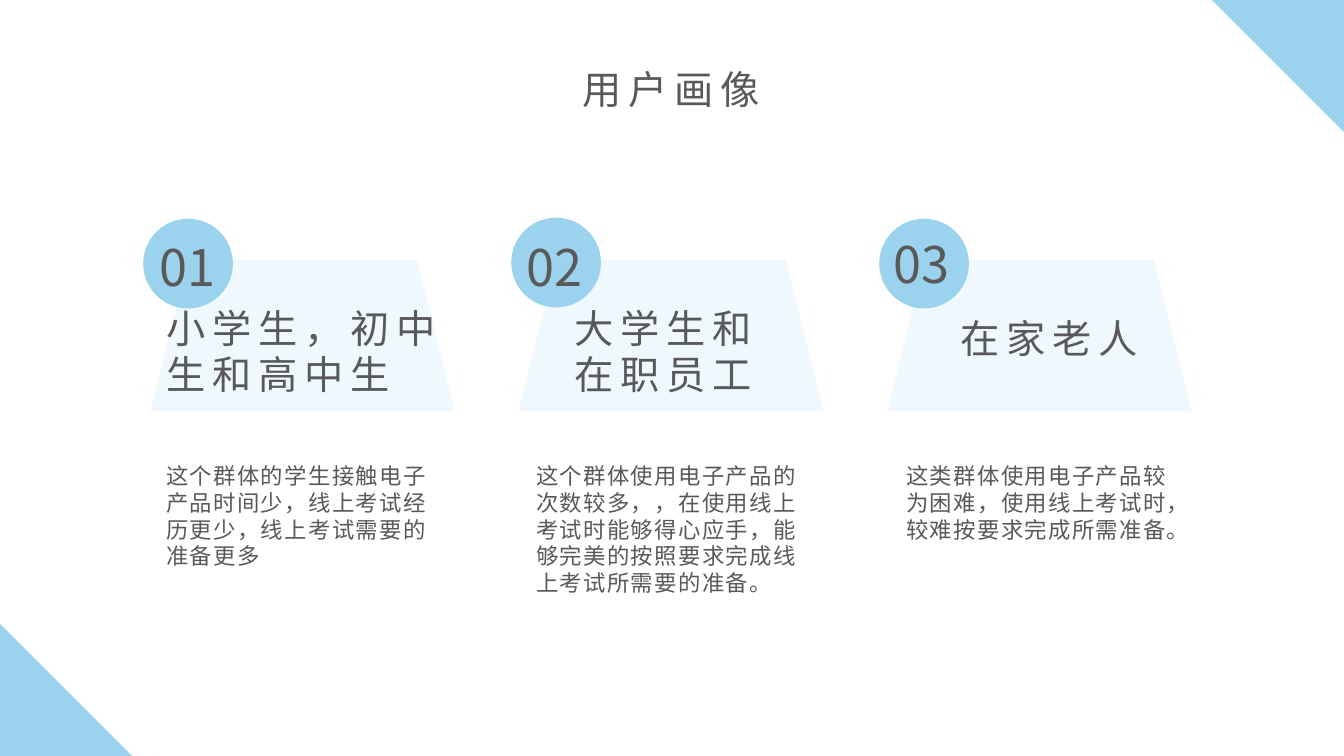
import pptx
import pptx.util
import pptx.dml.color
import pptx.enum.shapes
import pptx.enum.text

TITLE = "用户画像"
GROUPS = [
    {"num": "01", "name": "小学生，初中生和高中生",
     "note": "这个群体的学生接触电子产品时间少，线上考试经历更少，线上考试需要的准备更多",
     "name_box": (1.55, 2.97, 3, 1.04), "num_top": 2.3, "dot_top": 2.17, "note_tall": 1.18},
    {"num": "02", "name": "大学生和在职员工",
     "note": "这个群体使用电子产品的次数较多，，在使用线上考试时能够得心应手，能够完美的按照要求完成线上考试所需要的准备。",
     "name_box": (5.6, 2.97, 2.14, 1.04), "num_top": 2.3, "dot_top": 2.16, "note_tall": 1.45},
    {"num": "03", "name": "在家老人",
     "note": "这类群体使用电子产品较为困难，使用线上考试时，较难按要求完成所需准备。",
     "name_box": (9.43, 3.07, 2.05, 0.57), "num_top": 2.27, "dot_top": 2.17, "note_tall": 0.91},
]
THEME = {
    "font": "Noto Sans CJK SC", "ink": "595959", "blue": "9BD3EF", "pale": "EEF8FD",
    "head": 28, "num": 36, "note": 16, "lead": 1.19,
}
WIDE, TALL, CORNER = 13.33, 7.5, 1.31

Inches, Pt = pptx.util.Inches, pptx.util.Pt
KIND = pptx.enum.shapes.MSO_SHAPE
FIT = pptx.enum.text.MSO_AUTO_SIZE.SHAPE_TO_FIT_TEXT


def tint(name):
    return pptx.dml.color.RGBColor.from_string(THEME[name])


def add_form(slide, kind, box, fill):
    form = slide.shapes.add_shape(kind, *map(Inches, box))
    form.shadow.inherit = False
    form.fill.solid()
    form.fill.fore_color.rgb = tint(fill)
    form.line.fill.background()
    return form


def add_text(slide, text, box, size, gap=0, wrap=True):
    frame = slide.shapes.add_textbox(*map(Inches, box)).text_frame
    frame.word_wrap = wrap
    frame.auto_size = FIT
    frame.text = text
    para = frame.paragraphs[0]
    para.line_spacing = Pt(THEME[size] * THEME["lead"])
    run = para.runs[0]
    run.font.name = THEME["font"]
    run.font.size = Pt(THEME[size])
    run.font.color.rgb = tint("ink")
    props = run.font._element
    props.set("spc", str(gap * 100))
    east = pptx.oxml.parse_xml(
        '<a:ea xmlns:a="http://schemas.openxmlformats.org/drawingml/2006/main"'
        f' typeface="{THEME["font"]}"/>')
    props.append(east)


def main():
    deck = pptx.Presentation()
    deck.slide_width, deck.slide_height = Inches(WIDE), Inches(TALL)
    slide = deck.slides.add_slide(deck.slide_layouts[6])

    for i, group in enumerate(GROUPS):
        add_form(slide, KIND.TRAPEZOID, (1.49 + 3.655 * i, 2.58, 3.02, 1.5), "pale")
        add_form(slide, KIND.OVAL, (1.42 + 3.65 * i, group["dot_top"], 0.89, 0.89), "blue")
        add_text(slide, group["note"],
                 (1.55 + 3.67 * i, 4.54, 2.95, group["note_tall"]), "note", 1)
        add_text(slide, group["num"],
                 (1.48 + 3.64 * i, group["num_top"], 0.79, 0.71), "num", wrap=False)
        add_text(slide, group["name"], group["name_box"], "head", 5)

    add_form(slide, KIND.RIGHT_TRIANGLE, (0, TALL - CORNER, CORNER, CORNER), "blue")
    upper = add_form(slide, KIND.RIGHT_TRIANGLE, (WIDE - CORNER, 0, CORNER, CORNER), "blue")
    upper.rotation = 180
    add_text(slide, TITLE, (5.68, 0.6, 2.83, 0.57), "head", 5)
    deck.save("out.pptx")


if __name__ == "__main__":
    main()
